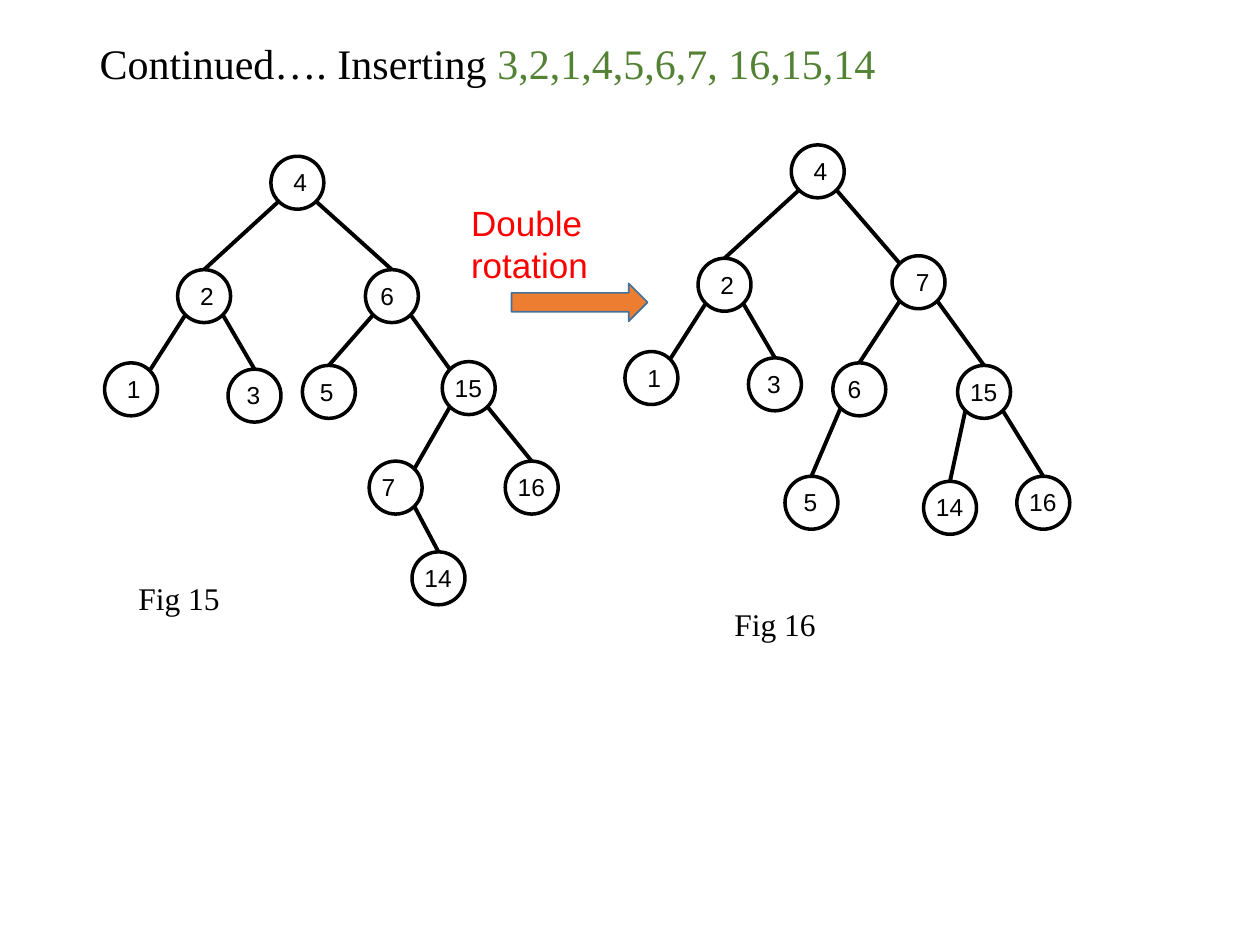
from dataclasses import dataclass
from math import sqrt
from typing import Optional

import pptx
import pptx.dml.color
import pptx.enum.shapes
import pptx.enum.text
import pptx.oxml
import pptx.oxml.ns
import pptx.util
from pptx.util import Inches


@dataclass(frozen=True)
class Theme:
    ink: str = "000000"
    key_list: str = "548235"
    operation: str = "FF0000"
    arrow_fill: str = "ED7D31"
    arrow_line: str = "42719B"
    serif: str = "Times New Roman"
    sans: str = "Arial"
    title_size: int = 24
    operation_size: int = 20
    caption_size: int = 18
    key_size: int = 14
    circle_width: float = 2
    edge_width: float = 2.25


@dataclass(frozen=True)
class Node:
    """A tree node; left and top place its circle, label_shift its key."""
    key: int
    left: float
    top: float
    label_shift: float = 0
    parent: Optional[int] = None
    inner_corner: bool = False


THEME = Theme()
DIAMETER = 0.42
RADIUS = DIAMETER / 2
DIAGONAL = RADIUS / sqrt(2)

TREE_BEFORE = [
    Node(4, 2.15, 1.24, 0.08),
    Node(2, 1.41, 2.14, 0.08, 4),
    Node(6, 2.9, 2.14, 0.02, 4),
    Node(1, 0.83, 2.88, 0.08, 2, inner_corner=True),
    Node(3, 1.81, 2.93, 0.05, 2),
    Node(5, 2.4, 2.9, 0.04, 6),
    Node(15, 3.51, 2.87, 0, 6, inner_corner=True),
    Node(7, 2.93, 3.66, 0, 15, inner_corner=True),
    Node(16, 4.01, 3.66, 0, 15),
    Node(14, 3.27, 4.38, 0, 7),
]
TREE_AFTER = [
    Node(4, 6.28, 1.15, 0.08),
    Node(2, 5.54, 2.05, 0.08, 4),
    Node(7, 7.08, 2.03, 0.09, 4, inner_corner=True),
    Node(1, 4.96, 2.79, 0.08, 2, inner_corner=True),
    Node(3, 5.94, 2.84, 0.05, 2),
    Node(6, 6.61, 2.88, 0.02, 7),
    Node(15, 7.6, 2.9, 0, 7),
    Node(5, 6.23, 3.78, 0.05, 6),
    Node(14, 7.33, 3.82, 0, 15),
    Node(16, 8.07, 3.78, 0, 15),
]


def rgb(color: str) -> pptx.dml.color.RGBColor:
    return pptx.dml.color.RGBColor.from_string(color)


def format_run(run, size: int, font: str, color: str) -> None:
    run.font.size = pptx.util.Pt(size)
    run.font.name = font
    run.font.color.rgb = rgb(color)


def add_text(slide, text: str, left: float, top: float, width: float, height: float,
             size: int, font: str, color: str):
    box = slide.shapes.add_textbox(Inches(left), Inches(top), Inches(width), Inches(height))
    box.text_frame.word_wrap = True
    box.text_frame.text = text
    format_run(box.text_frame.paragraphs[0].runs[0], size, font, color)
    return box


def add_node(slide, node: Node) -> None:
    circle = slide.shapes.add_shape(
        pptx.enum.shapes.MSO_SHAPE.OVAL,
        Inches(node.left), Inches(node.top), Inches(DIAMETER), Inches(DIAMETER))
    circle.shadow.inherit = False
    circle.fill.background()
    circle.line.color.rgb = rgb(THEME.ink)
    circle.line.width = pptx.util.Pt(THEME.circle_width)
    label_width = 0.42 if node.key > 9 else 0.33
    add_text(slide, str(node.key), node.left + node.label_shift, node.top + 0.04,
             label_width, 0.34, THEME.key_size, THEME.sans, THEME.ink)


def add_edge(slide, parent: Node, child: Node) -> None:
    """Join a lower corner of the parent to the child's top or corner facing it."""
    side = -1 if child.key < parent.key else 1
    start_x = parent.left + RADIUS + side * DIAGONAL
    start_y = parent.top + RADIUS + DIAGONAL
    end_x, end_y = child.left + RADIUS, child.top
    if child.inner_corner:
        end_x -= side * DIAGONAL
        end_y += RADIUS - DIAGONAL
    edge = slide.shapes.add_connector(
        pptx.enum.shapes.MSO_CONNECTOR.STRAIGHT,
        Inches(start_x), Inches(start_y), Inches(end_x), Inches(end_y))
    edge.line.color.rgb = rgb(THEME.ink)
    edge.line.width = pptx.util.Pt(THEME.edge_width)
    properties = edge._element.spPr
    properties.append(pptx.oxml.parse_xml(
        f"<a:effectLst {pptx.oxml.ns.nsdecls('a')}/>"))


def add_tree(slide, nodes: list[Node]) -> None:
    by_key = {node.key: node for node in nodes}
    for node in nodes:
        add_node(slide, node)
        if node.parent is not None:
            add_edge(slide, by_key[node.parent], node)


def add_title(slide) -> None:
    title = slide.shapes.title
    title.left, title.top = Inches(0.69), Inches(0.25)
    title.width, title.height = Inches(7.08), Inches(0.5)
    title.text_frame.auto_size = pptx.enum.text.MSO_AUTO_SIZE.NONE
    title.text_frame.vertical_anchor = pptx.enum.text.MSO_ANCHOR.TOP
    paragraph = title.text_frame.paragraphs[0]
    paragraph.alignment = pptx.enum.text.PP_ALIGN.LEFT
    for text, color in (("Continued…. Inserting ", THEME.ink),
                        ("3,2,1,4,5,6,7, 16,15,14", THEME.key_list)):
        run = paragraph.add_run()
        run.text = text
        format_run(run, THEME.title_size, THEME.serif, color)


def add_rotation_step(slide) -> None:
    label = add_text(slide, "Double rotation", 3.64, 1.55, 2.09, 0.43,
                     THEME.operation_size, THEME.sans, THEME.operation)
    label.text_frame.margin_right = Inches(0.5)
    arrow = slide.shapes.add_shape(
        pptx.enum.shapes.MSO_SHAPE.RIGHT_ARROW,
        Inches(4.06), Inches(2.25), Inches(1.08), Inches(0.3))
    arrow.shadow.inherit = False
    arrow.fill.solid()
    arrow.fill.fore_color.rgb = rgb(THEME.arrow_fill)
    arrow.line.color.rgb = rgb(THEME.arrow_line)
    arrow.line.width = pptx.util.Pt(1)


def main() -> None:
    presentation = pptx.Presentation()
    presentation.slide_width, presentation.slide_height = Inches(10), Inches(7.5)
    slide = presentation.slides.add_slide(presentation.slide_layouts.get_by_name("Title Only"))
    add_title(slide)
    add_tree(slide, TREE_BEFORE)
    add_tree(slide, TREE_AFTER)
    for caption, left, top in (("Fig 15", 1, 4.55), ("Fig 16", 5.73, 4.75)):
        add_text(slide, caption, left, top, 1.25, 0.4,
                 THEME.caption_size, THEME.serif, THEME.ink)
    add_rotation_step(slide)
    presentation.save("out.pptx")


if __name__ == "__main__":
    main()
